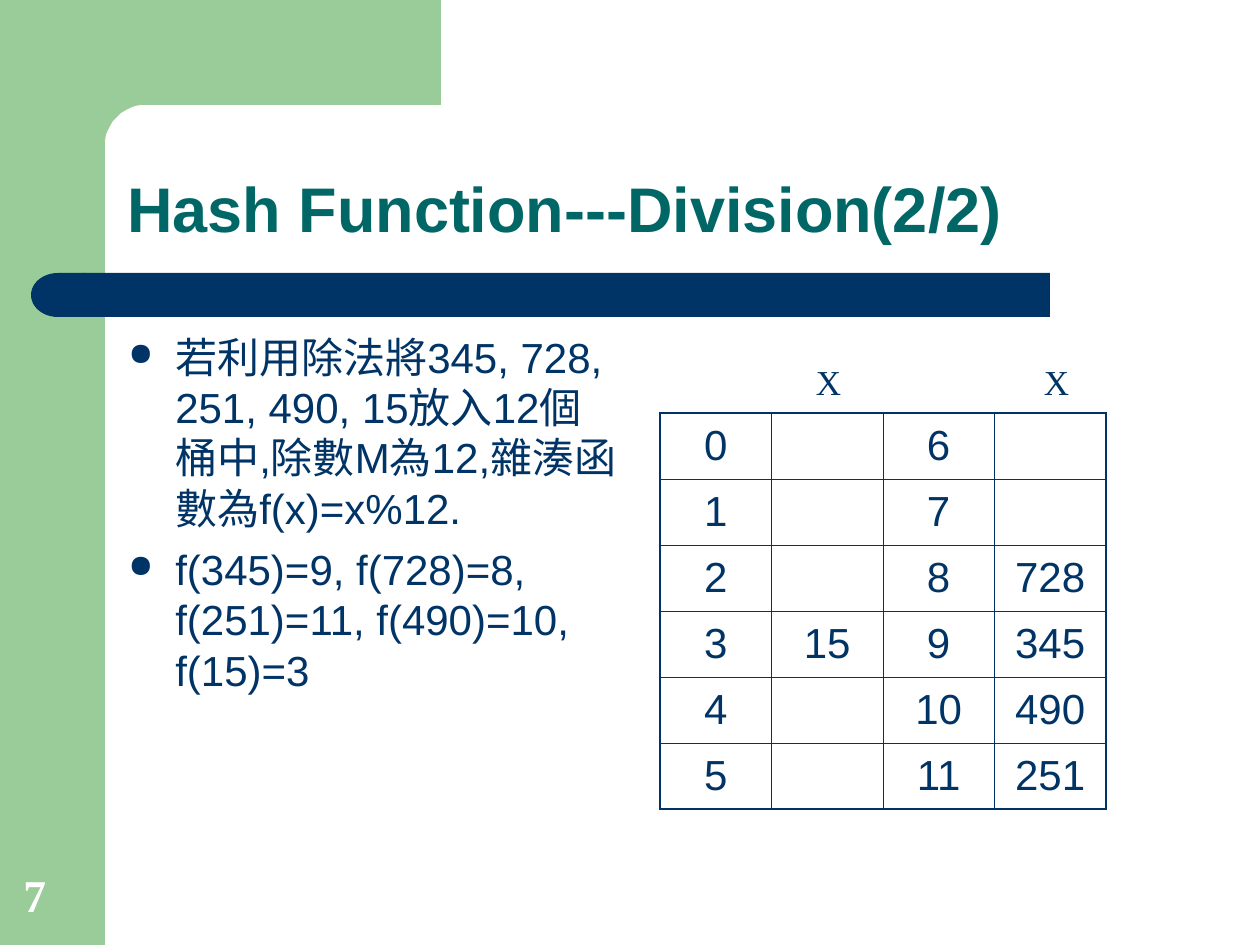
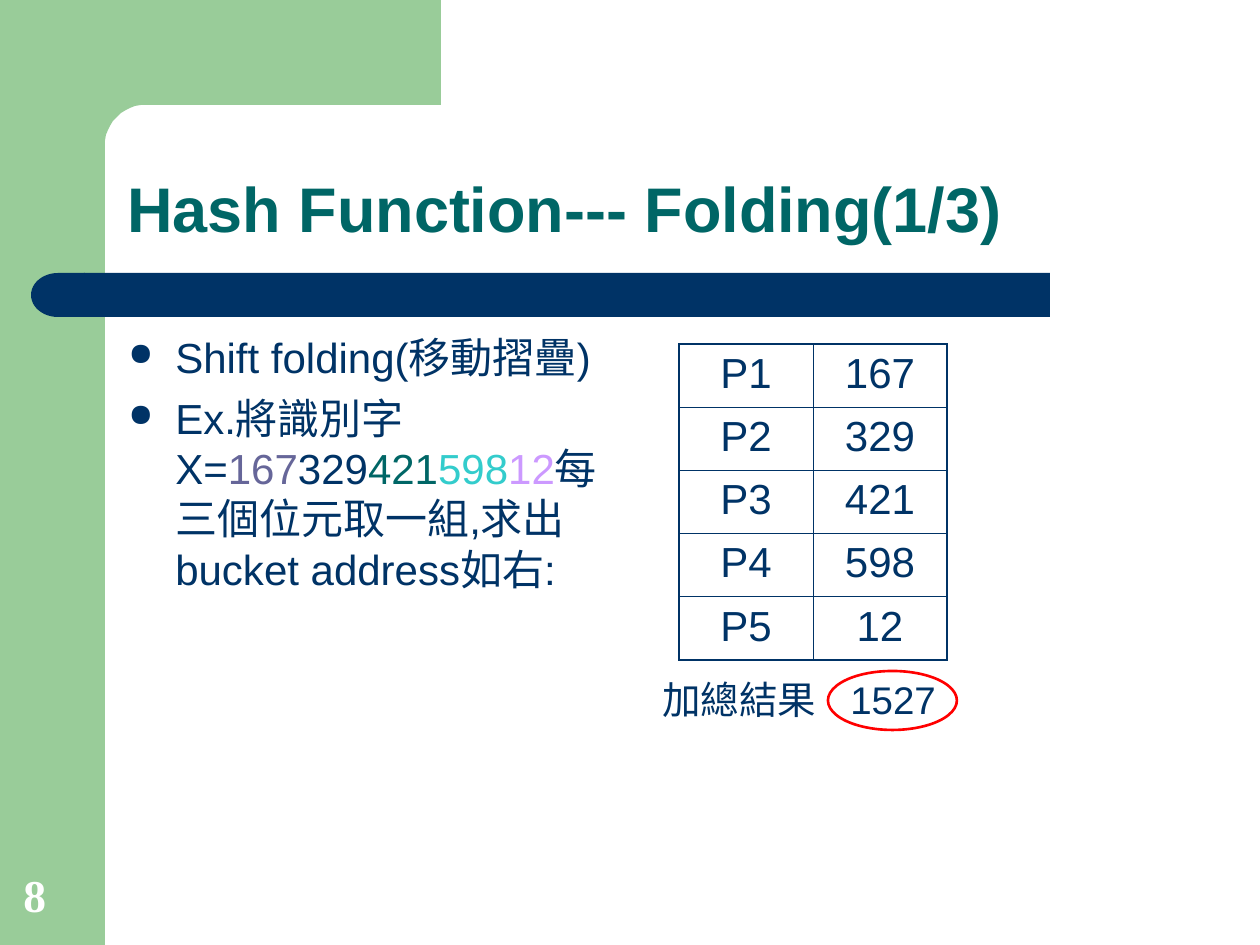
from math import cos, pi, sin

from lxml import etree
from pptx import Presentation
from pptx.dml.color import RGBColor
from pptx.enum.shapes import MSO_SHAPE
from pptx.enum.text import MSO_ANCHOR, PP_ALIGN
from pptx.oxml.ns import qn
from pptx.util import Pt

PX = 7257
RECTANGLE = MSO_SHAPE.RECTANGLE
DELAY = MSO_SHAPE.FLOWCHART_DELAY
OVAL = MSO_SHAPE.OVAL
TOP, MIDDLE, BOTTOM = MSO_ANCHOR.TOP, MSO_ANCHOR.MIDDLE, MSO_ANCHOR.BOTTOM
LEFT, CENTER = PP_ALIGN.LEFT, PP_ALIGN.CENTER
SANS, SERIF = "Arial", "Times New Roman"
COLORS = {
    "green": "99CC99",
    "navy": "003366",
    "teal": "006666",
    "purple": "666699",
    "cyan": "33CCCC",
    "lilac": "CC99FF",
    "red": "FF0000",
    "white": "FFFFFF",
}
RGB = {name: RGBColor.from_string(value) for name, value in COLORS.items()}


def style(paragraph, size, color="navy", face=SANS, bold=False, align=LEFT):
    paragraph.alignment = align
    for span in paragraph.runs:
        span.font.size = Pt(size)
        span.font.name = face
        span.font.bold = bold
        span.font.color.rgb = RGB[color]


def add_text(page, area, text, size, anchor=TOP, **look):
    box = page.shapes.add_textbox(*(n * PX for n in area))
    frame = box.text_frame
    frame.word_wrap = True
    frame.vertical_anchor = anchor
    frame.text = text
    for paragraph in frame.paragraphs:
        style(paragraph, size, **look)
    return frame


hash_rows = [
    ["0", "", "6", ""],
    ["1", "", "7", ""],
    ["2", "", "8", "728"],
    ["3", "15", "9", "345"],
    ["4", "", "10", "490"],
    ["5", "", "11", "251"],
]
parts = [("167", "purple"), ("329", "navy"), ("421", "teal"), ("598", "cyan"), ("12", "lilac")]
fold_rows = [[f"P{number}", digits] for number, (digits, color) in enumerate(parts, 1)]

slides = [
    {
        "number": "7",
        "title": "Hash Function---Division(2/2)",
        "bullets": [
            [("若利用除法將345, 728, 251, 490, 15放入12個桶中,除數M為12,雜湊函數為f(x)=x%12.", "navy")],
            [("f(345)=9, f(728)=8, f(251)=11, f(490)=10, f(15)=3", "navy")],
        ],
        "rows": hash_rows,
        "table_area": (660, 413, 446, 396),
        "anchor": MIDDLE,
    },
    {
        "number": "8",
        "title": "Hash Function--- Folding(1/3)",
        "bullets": [
            [("Shift folding(移動摺疊)", "navy")],
            [("Ex.將識別字X=", "navy"), *parts, ("每三個位元取一組,求出bucket address如右:", "navy")],
        ],
        "rows": fold_rows,
        "table_area": (679, 344, 268, 316),
        "anchor": TOP,
    },
]

arc = [(146 - 41 * sin(step * pi / 24), 146 - 41 * cos(step * pi / 24)) for step in range(13)]
corner = [(441, 105), *arc, (105, 161), (63, 161), (63, 0)]

deck = Presentation()
deck.slide_width = 1260 * PX
deck.slide_height = 945 * PX

for content in slides:
    page = deck.slides.add_slide(deck.slide_layouts[6])

    builder = page.shapes.build_freeform(441, 0, scale=PX)
    builder.add_line_segments(corner, close=True)
    backdrop = [(builder.convert_to_shape(), "green")]
    for kind, area, color in [
        (RECTANGLE, (0, 0, 105, 945), "green"),
        (RECTANGLE, (84, 273, 966, 44), "navy"),
        (DELAY, (31, 273, 54, 44), "navy"),
    ]:
        backdrop.append((page.shapes.add_shape(kind, *(n * PX for n in area)), color))
    for shape, color in backdrop:
        shape.shadow.inherit = False
        shape.fill.solid()
        shape.fill.fore_color.rgb = RGB[color]
        shape.line.fill.background()
    shape.rotation = 180

    title = add_text(page, (115, 115, 1072, 137), content["title"], 36, BOTTOM, color="teal", bold=True)
    title.paragraphs[0].line_spacing = 0.9

    body = add_text(page, (116, 325, 519, 513), "", 24)
    for index, pieces in enumerate(content["bullets"]):
        paragraph = body.add_paragraph() if index else body.paragraphs[0]
        if index:
            paragraph.space_before = Pt(6)
        properties = paragraph._p.get_or_add_pPr()
        properties.set("marL", str(47 * PX))
        properties.set("indent", str(-47 * PX))
        bullet_color = etree.SubElement(properties, qn("a:buClr"))
        etree.SubElement(bullet_color, qn("a:srgbClr"), val=COLORS["navy"])
        etree.SubElement(properties, qn("a:buSzPct"), val="75000")
        etree.SubElement(properties, qn("a:buChar"), char="●")
        for text, color in pieces:
            paragraph.add_run().text = text
        style(paragraph, 24)
        for span, (text, color) in zip(paragraph.runs, pieces):
            span.font.color.rgb = RGB[color]

    rows = content["rows"]
    last_row, last_column = len(rows) - 1, len(rows[0]) - 1
    area = (n * PX for n in content["table_area"])
    table = page.shapes.add_table(len(rows), len(rows[0]), *area).table
    table.first_row = table.horz_banding = False
    for row, values in enumerate(rows):
        for column, value in enumerate(values):
            cell = table.cell(row, column)
            cell.text = value
            cell.vertical_anchor = content["anchor"]
            style(cell.text_frame.paragraphs[0], 24, align=CENTER)
            properties = cell._tc.get_or_add_tcPr()
            for edge, outer in [
                ("L", column == 0),
                ("R", column == last_column),
                ("T", row == 0),
                ("B", row == last_row),
            ]:
                width = Pt(1.08 if outer else 0.45)
                border = etree.SubElement(properties, qn(f"a:ln{edge}"), w=str(width))
                fill = etree.SubElement(border, qn("a:solidFill"))
                etree.SubElement(fill, qn("a:srgbClr"), val=COLORS["navy"])
            cell.fill.background()

    add_text(page, (11, 861, 81, 67), content["number"], 26, BOTTOM, color="white", face=SERIF, bold=True)

division_page, folding_page = deck.slides

for left in (789, 1017):
    add_text(division_page, (left, 354, 79, 55), "X", 20, face=SERIF, align=CENTER)

total = add_text(folding_page, (650, 670, 307, 59), "加總結果\t1527", 22)
tabs = etree.SubElement(total.paragraphs[0]._p.get_or_add_pPr(), qn("a:tabLst"))
etree.SubElement(tabs, qn("a:tab"), pos=str(188 * PX), algn="l")

ring = folding_page.shapes.add_shape(OVAL, 828 * PX, 671 * PX, 129 * PX, 59 * PX)
ring.shadow.inherit = False
ring.fill.background()
ring.line.color.rgb = RGB["red"]
ring.line.width = Pt(1.5)

deck.save("out.pptx")
